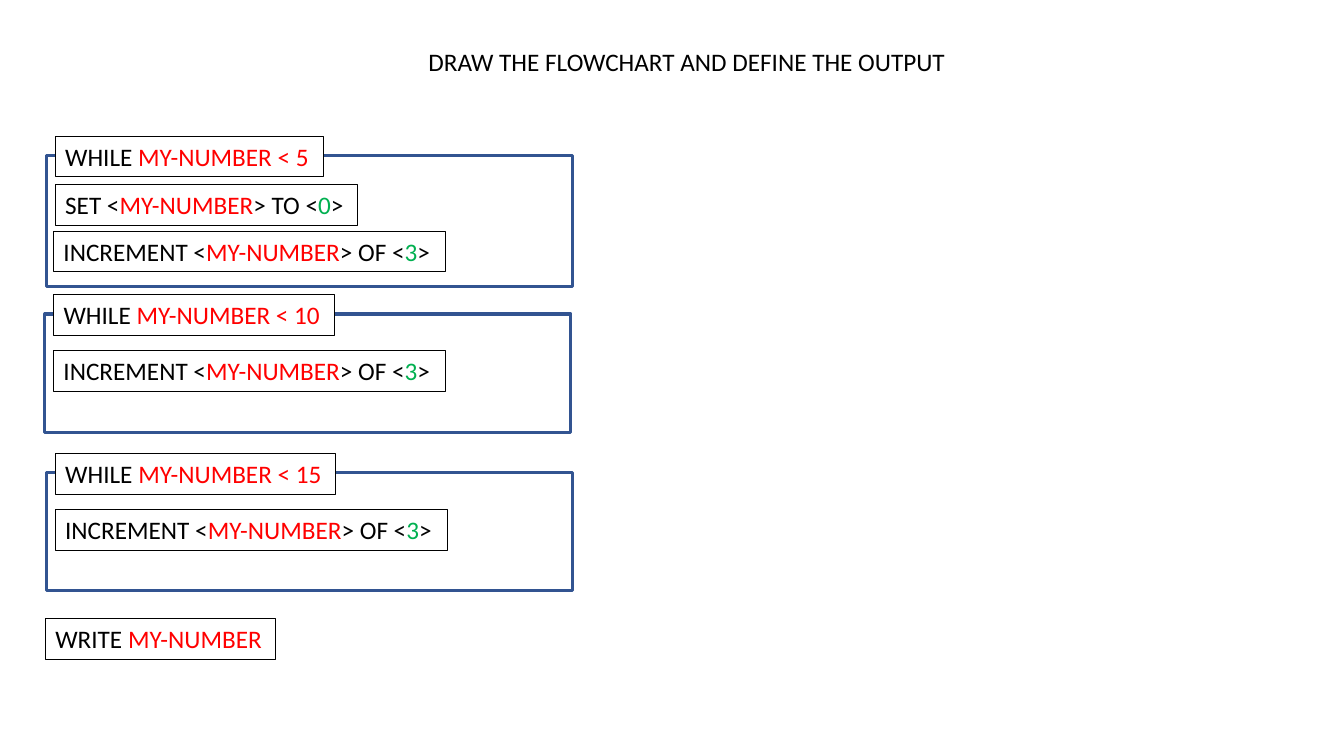
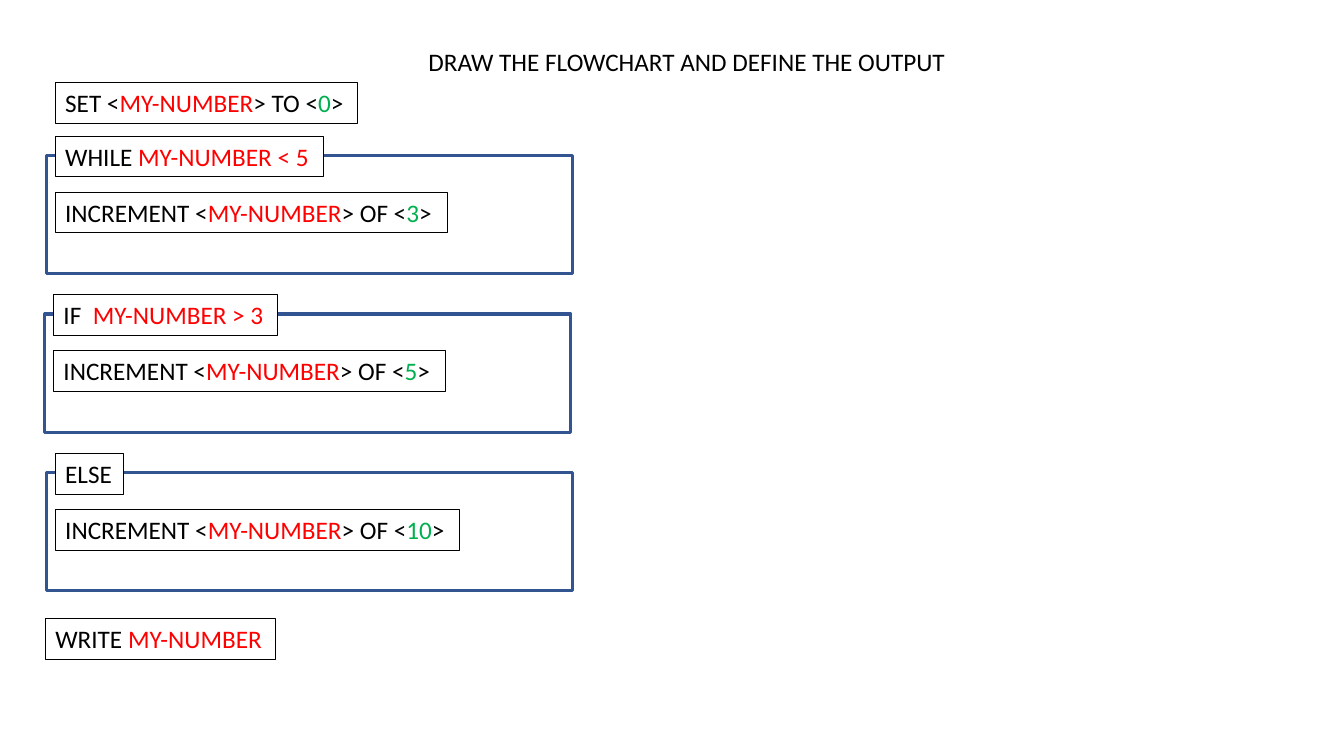
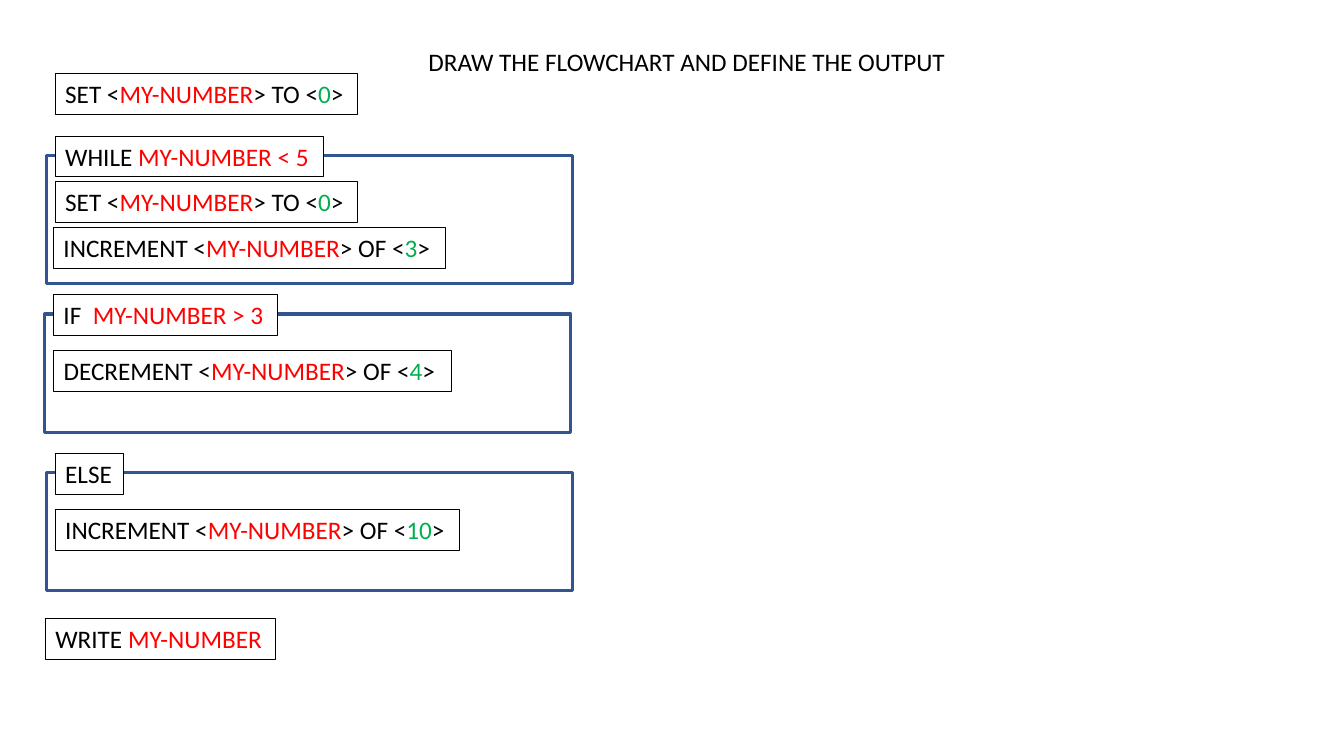
import pptx
import pptx.dml.color
import pptx.enum.shapes
import pptx.enum.text
import pptx.util

Pt = pptx.util.Pt
COLORS = {"text": "000000", "variable": "FF0000", "value": "00B050",
          "frame": "325491", "paper": "FFFFFF"}
RUN_COLORS = ["text", "variable", "text", "value", "text"]
TITLE = "DRAW THE FLOWCHART AND DEFINE THE OUTPUT"
BOX_HEIGHT = 29.08
FRAME_WIDTH = 375.8
FRAME_HEIGHT = 84.4
HEADER_LEFTS = [39.5, 38.3, 39.5]
HEADER_TOP = 97.2
BLOCK_STEP = 113.4
FRAME_INDENT = 6.3
FRAME_DROP = 13.7
STATEMENT_DROP = 40


def fill_text(shape, parts):
    frame = shape.text_frame
    frame.word_wrap = False
    frame.auto_size = pptx.enum.text.MSO_AUTO_SIZE.NONE
    frame.vertical_anchor = pptx.enum.text.MSO_ANCHOR.TOP
    para = frame.paragraphs[0]
    para.alignment = pptx.enum.text.PP_ALIGN.LEFT
    for part, color in zip(parts, RUN_COLORS):
        span = para.add_run()
        span.text = part
        span.font.name = "Calibri"
        span.font.size = Pt(18)
        span.font.color.rgb = pptx.dml.color.RGBColor.from_string(COLORS[color])


def add_box(page, left, top, width, height, line, weight, parts=(), filled=False):
    box = page.shapes.add_shape(pptx.enum.shapes.MSO_SHAPE.RECTANGLE,
                                Pt(left), Pt(top), Pt(width), Pt(height))
    box.shadow.inherit = False
    box.line.color.rgb = pptx.dml.color.RGBColor.from_string(COLORS[line])
    box.line.width = Pt(weight)
    if filled:
        box.fill.solid()
        box.fill.fore_color.rgb = pptx.dml.color.RGBColor.from_string(COLORS["paper"])
    else:
        box.fill.background()
    if parts:
        fill_text(box, parts)


set_zero = (["SET <", "MY-NUMBER", "> TO <", "0", ">"], 216)
add_three = (["INCREMENT <", "MY-NUMBER", "> OF <", "3", ">"], 280)
add_five = (["INCREMENT <", "MY-NUMBER", "> OF <", "5", ">"], 280)
add_ten = (["INCREMENT <", "MY-NUMBER", "> OF <", "10", ">"], 289)
take_four = (["DECREMENT <", "MY-NUMBER", "> OF <", "4", ">"], 284)
write_number = (["WRITE ", "MY-NUMBER"], 164.2)
while_five = (["WHILE ", "MY-NUMBER < 5"], 191.5)
while_ten = (["WHILE ", "MY-NUMBER < 10"], 200.2)
while_fifteen = (["WHILE ", "MY-NUMBER < 15"], 200.2)
if_three = (["IF  ", "MY-NUMBER > 3"], 160)
otherwise = (["ELSE"], 48.5)

exercises = [
    {"headers": [while_five, while_ten, while_fifteen],
     "bodies": [None, add_three, add_three],
     "first_height": 93.6,
     "extras": [(set_zero, 39.5, 131.8), (add_three, 38.3, 165)]},
    {"headers": [while_five, if_three, otherwise],
     "bodies": [add_three, add_five, add_ten],
     "first_height": FRAME_HEIGHT,
     "extras": [(set_zero, 39.5, 59)]},
    {"headers": [while_five, if_three, otherwise],
     "bodies": [None, take_four, add_ten],
     "first_height": 91.4,
     "extras": [(set_zero, 39.5, 52.7), (set_zero, 39.5, 129.5),
                (add_three, 38.3, 162.5)]},
]

deck = pptx.Presentation()
deck.slide_width = Pt(960)
deck.slide_height = Pt(540)

for exercise in exercises:
    page = deck.slides.add_slide(deck.slide_layouts[5])
    title = page.shapes.title
    title.left, title.top = Pt(298.8), Pt(29.5)
    title.width, title.height = Pt(387.4), Pt(BOX_HEIGHT)
    fill_text(title, [TITLE])

    heights = [exercise["first_height"], FRAME_HEIGHT, FRAME_HEIGHT]
    blocks = zip(HEADER_LEFTS, heights, exercise["headers"], exercise["bodies"])
    for index, (left, height, header, body) in enumerate(blocks):
        top = HEADER_TOP + index * BLOCK_STEP
        add_box(page, left - FRAME_INDENT, top + FRAME_DROP, FRAME_WIDTH, height,
                "frame", 2.25)
        parts, width = header
        add_box(page, left, top, width, BOX_HEIGHT, "text", 0.5, parts, True)
        if body:
            parts, width = body
            add_box(page, left, top + STATEMENT_DROP, width, BOX_HEIGHT,
                    "text", 0.5, parts)

    for (parts, width), left, top in exercise["extras"] + [(write_number, 32.4, 442)]:
        add_box(page, left, top, width, BOX_HEIGHT, "text", 0.5, parts)

deck.save("out.pptx")
